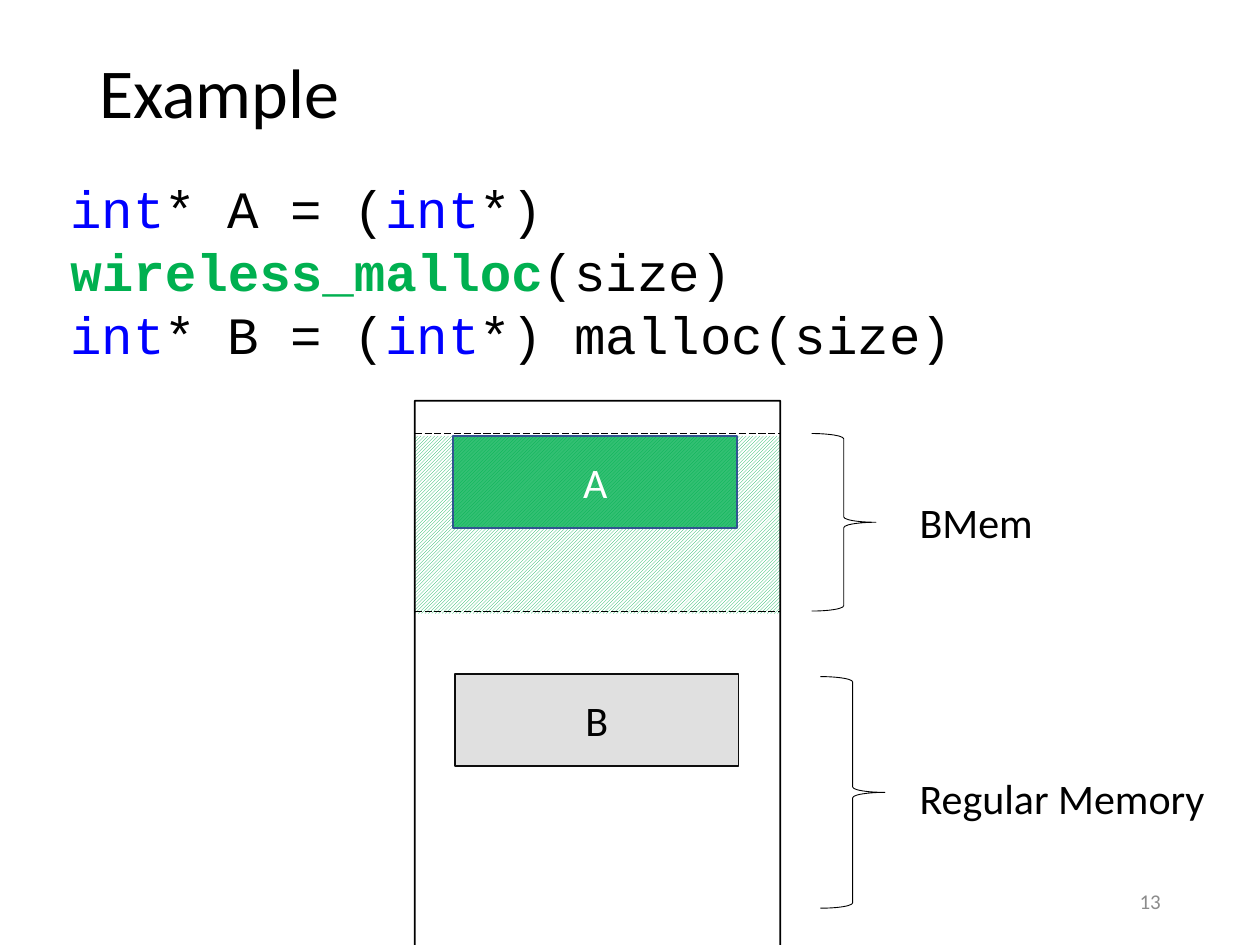
from dataclasses import dataclass

from lxml.etree import SubElement
from pptx import Presentation
from pptx.dml.color import RGBColor
from pptx.enum.dml import MSO_LINE_DASH_STYLE as Dash, MSO_PATTERN_TYPE as Pattern
from pptx.enum.shapes import MSO_CONNECTOR_TYPE as Connector, MSO_SHAPE as Shape
from pptx.enum.text import MSO_ANCHOR as Anchor, MSO_AUTO_SIZE as AutoSize, PP_ALIGN as Align
from pptx.oxml.ns import qn
from pptx.util import Cm, Pt

BLACK = RGBColor(0x00, 0x00, 0x00)
WHITE = RGBColor(0xFF, 0xFF, 0xFF)
BLUE = RGBColor(0x00, 0x00, 0xFF)
GREEN = RGBColor(0x00, 0xB0, 0x50)
NAVY = RGBColor(0x32, 0x54, 0x91)
LIGHT_GRAY = RGBColor(0xD9, 0xD9, 0xD9)
NEAR_BLACK = RGBColor(0x0D, 0x0D, 0x0D)
PAGE_GRAY = RGBColor(0x8C, 0x8C, 0x8C)

MEMORY_LEFT, MEMORY_WIDTH = 8.36, 7.37
BMEM_TOP, BMEM_HEIGHT = 8.74, 3.58


@dataclass(frozen=True)
class Box:
    """Position and size in centimetres."""
    left: float
    top: float
    width: float
    height: float

    def lengths(self) -> tuple:
        return Cm(self.left), Cm(self.top), Cm(self.width), Cm(self.height)


@dataclass(frozen=True)
class Allocation:
    name: str
    box: Box
    fill: RGBColor
    border: RGBColor
    text: RGBColor


@dataclass(frozen=True)
class Region:
    name: str
    brace: Box
    label: Box


ALLOCATIONS = [
    Allocation("A", Box(9.14, 8.79, 5.72, 1.85), GREEN, NAVY, WHITE),
    Allocation("B", Box(9.17, 13.59, 5.72, 1.85), LIGHT_GRAY, NEAR_BLACK, BLACK),
]
REGIONS = [
    Region("BMem", Box(16.36, BMEM_TOP, 1.3, BMEM_HEIGHT), Box(18.29, 9.88, 2.82, 1.27)),
    Region("Regular Memory", Box(16.54, 13.64, 1.3, 4.67), Box(18.29, 15.44, 6.32, 1.27)),
]
# Each run: text, colour, bold
CODE = [
    [("int", BLUE, False), ("* A = (", BLACK, False), ("int", BLUE, False),
     ("*) ", BLACK, False), ("wireless_malloc", GREEN, True), ("(size)", BLACK, False)],
    [("int", BLUE, False), ("* B = (", BLACK, False), ("int", BLUE, False),
     ("*) malloc(size)", BLACK, False)],
]


def style(paragraph, size: float, color: RGBColor, align=Align.LEFT) -> None:
    font = paragraph.font
    font.name, font.size, font.color.rgb = "Calibri", Pt(size), color
    paragraph.alignment = align


def add_label(slide, box: Box, text: str, size: float, color: RGBColor = BLACK,
              align=Align.LEFT, anchor=Anchor.MIDDLE, wrap: bool = True):
    frame = slide.shapes.add_textbox(*box.lengths()).text_frame
    frame.word_wrap, frame.vertical_anchor = wrap, anchor
    frame.text = text
    style(frame.paragraphs[0], size, color, align)
    return frame


def add_outline(slide, kind, box: Box, color: RGBColor = BLACK, width: float = 1):
    shape = slide.shapes.add_shape(kind, *box.lengths())
    shape.shadow.inherit = False
    shape.fill.background()
    shape.line.color.rgb, shape.line.width = color, Pt(width)
    return shape


def add_code(slide, box: Box) -> None:
    frame = slide.shapes.add_textbox(*box.lengths()).text_frame
    frame.word_wrap, frame.auto_size = True, AutoSize.SHAPE_TO_FIT_TEXT
    for index, statement in enumerate(CODE):
        paragraph = frame.add_paragraph() if index else frame.paragraphs[0]
        paragraph.font.name, paragraph.font.size = "Courier New", Pt(30)
        for text, color, bold in statement:
            run = paragraph.add_run()
            run.text, run.font.color.rgb, run.font.bold = text, color, bold


def add_boundary(slide, top: float) -> None:
    boundary = slide.shapes.add_connector(
        Connector.STRAIGHT, Cm(MEMORY_LEFT), Cm(top), Cm(MEMORY_LEFT + MEMORY_WIDTH), Cm(top))
    boundary.line.color.rgb, boundary.line.width = BLACK, Pt(0.5)
    boundary.line.dash_style = Dash.LONG_DASH
    SubElement(boundary.element.spPr, qn("a:effectLst"))


def add_allocation(slide, allocation: Allocation) -> None:
    block = add_outline(slide, Shape.RECTANGLE, allocation.box, allocation.border)
    block.fill.solid()
    block.fill.fore_color.rgb = allocation.fill
    fill_color = block.element.spPr.find(f"{qn('a:solidFill')}/{qn('a:srgbClr')}")
    SubElement(fill_color, qn("a:alpha"), val="80000")
    block.text_frame.text = allocation.name
    block.text_frame.vertical_anchor = Anchor.MIDDLE
    style(block.text_frame.paragraphs[0], 24, allocation.text, Align.CENTER)


def add_region(slide, region: Region) -> None:
    add_outline(slide, Shape.RIGHT_BRACE, region.brace, width=0.5)
    frame = add_label(slide, region.label, region.name, 24, anchor=Anchor.TOP, wrap=False)
    frame.auto_size = AutoSize.SHAPE_TO_FIT_TEXT


def main() -> None:
    presentation = Presentation()
    presentation.slide_width, presentation.slide_height = Cm(25.4), Cm(19.05)
    slide = presentation.slides.add_slide(presentation.slide_layouts[6])

    # Title, code and page number
    title = add_label(slide, Box(1.75, 0.1, 21.89, 3.68), "Example", 40)
    title.paragraphs[0].line_spacing = 0.9
    add_code(slide, Box(1.17, 3.43, 23.65, 4.11))
    add_label(slide, Box(17.93, 17.65, 5.72, 1.02), "13", 12, PAGE_GRAY, Align.RIGHT)

    # Address space with the hatched BMem area
    hatch = add_outline(slide, Shape.RECTANGLE,
                        Box(MEMORY_LEFT, 8.79, MEMORY_WIDTH, BMEM_HEIGHT))
    hatch.fill.patterned()
    hatch.fill.pattern = Pattern.LIGHT_UPWARD_DIAGONAL
    hatch.fill.fore_color.rgb, hatch.fill.back_color.rgb = GREEN, WHITE
    hatch.line.fill.background()
    add_outline(slide, Shape.FLOWCHART_DOCUMENT, Box(MEMORY_LEFT, 8.08, MEMORY_WIDTH, 14.94))
    for top in (BMEM_TOP, BMEM_TOP + BMEM_HEIGHT):
        add_boundary(slide, top)

    # Allocated blocks and region labels
    for allocation in ALLOCATIONS:
        add_allocation(slide, allocation)
    for region in REGIONS:
        add_region(slide, region)

    presentation.save("out.pptx")


if __name__ == "__main__":
    main()
